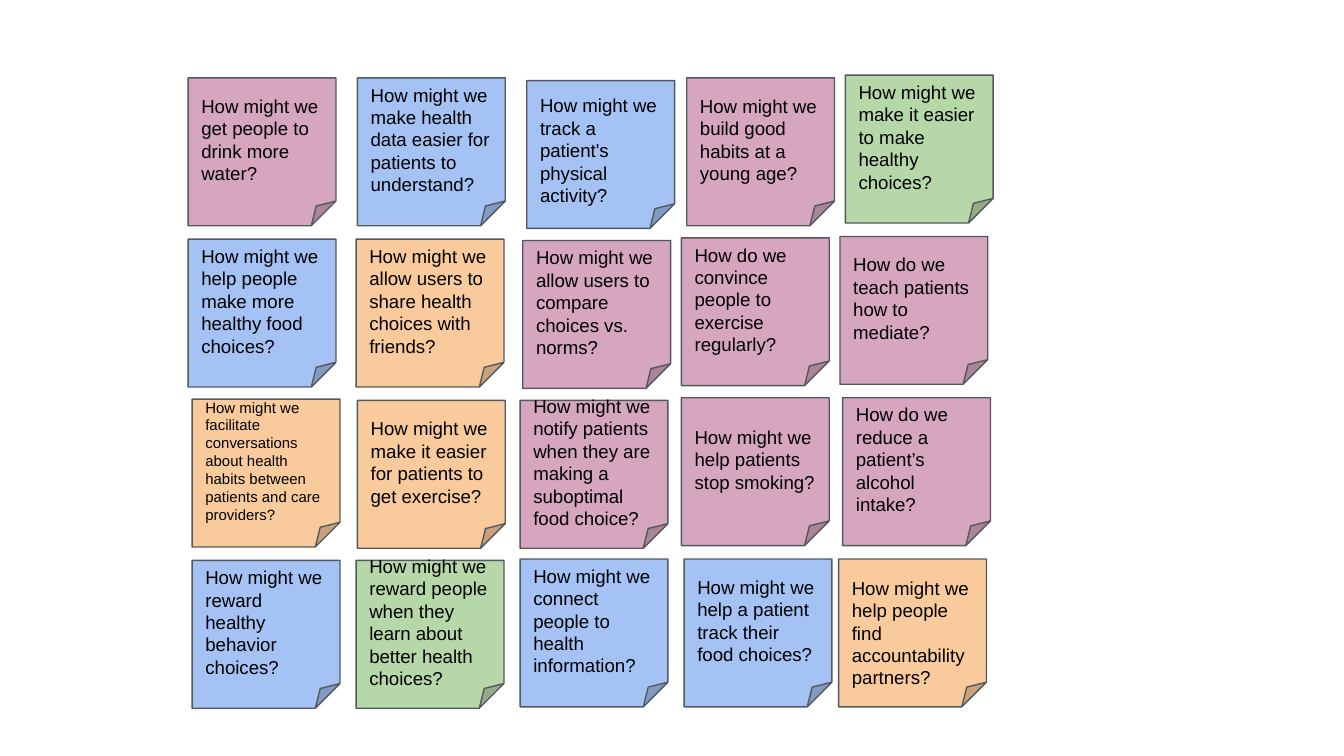
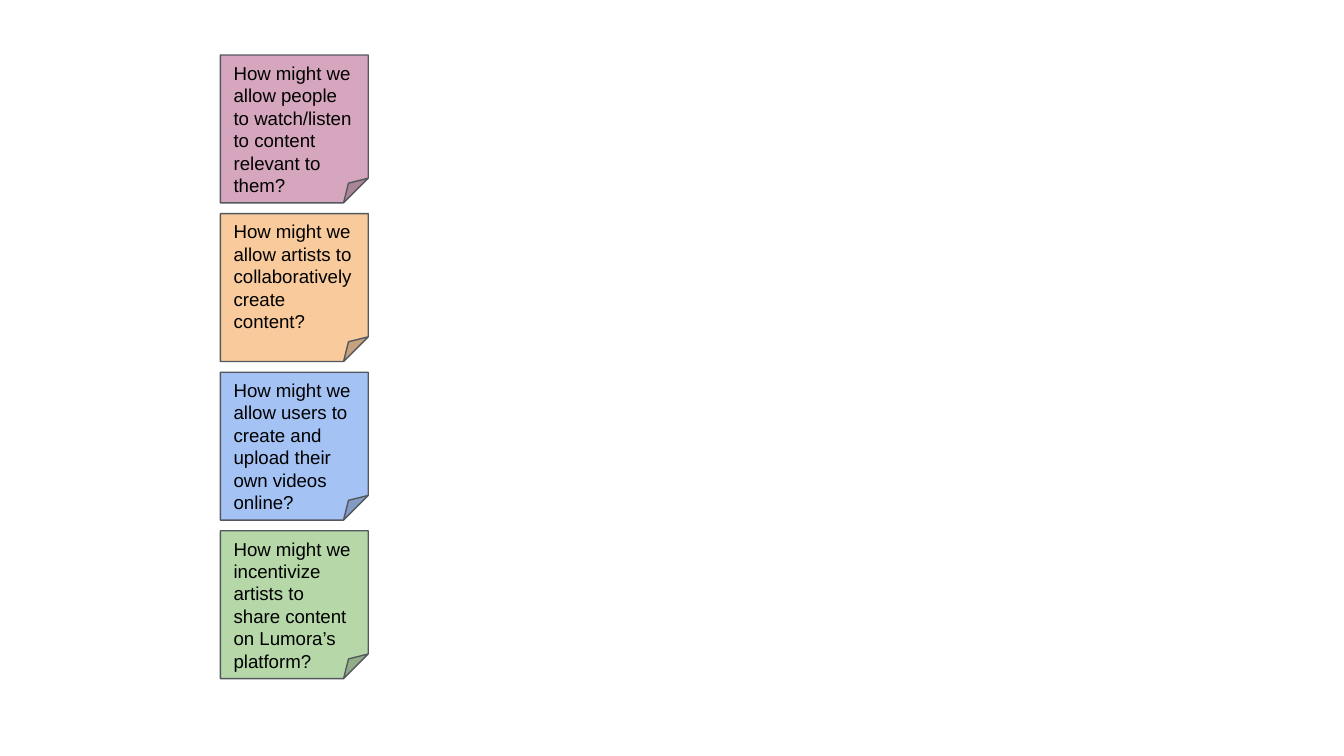
from dataclasses import dataclass
from itertools import product

from pptx import Presentation
from pptx.dml.color import RGBColor
from pptx.enum.shapes import MSO_SHAPE
from pptx.enum.text import MSO_ANCHOR, PP_ALIGN
from pptx.util import Inches, Pt


@dataclass(frozen=True)
class Theme:
    pink: str = "D5A6BD"
    blue: str = "A4C2F4"
    orange: str = "F9CB9C"
    green: str = "B6D7A8"
    outline: str = "53585F"
    ink: str = "000000"
    font: str = "Arial"
    body: float = 10
    small: float = 8
    outline_width: float = 0.75
    note_side: float = 1.1
    inset: float = 0.1


@dataclass(frozen=True)
class Note:
    question: str
    color: str
    nudge: tuple = (0, 0)
    size: float = Theme.body
    top_inset: float | None = None


@dataclass(frozen=True)
class Grid:
    left: float
    top: float
    columns: int
    rows: int
    column_step: float
    row_step: float

    def cells(self):
        for row, column in product(range(self.rows), range(self.columns)):
            yield self.left + column * self.column_step, self.top + row * self.row_step


THEME = Theme()
PINK, BLUE, ORANGE, GREEN = THEME.pink, THEME.blue, THEME.orange, THEME.green

HEALTH_GRID = Grid(1.4, 0.58, columns=5, rows=4, column_step=1.22, row_step=1.19)
HEALTH_NOTES = [
    Note("How might we get people to drink more water?", PINK),
    Note("How might we make health data easier for patients to understand?",
         BLUE, (0.04, 0)),
    Note("How might we track a patient's physical activity?",
         BLUE, (0.08, 0.02), top_inset=0.1),
    Note("How might we build good habits at a young age?", PINK, (0.05, 0)),
    Note("How might we make it easier to make healthy choices?",
         GREEN, (0.01, -0.02)),
    Note("How might we help people make more healthy food choices?",
         BLUE, (0, 0.01)),
    Note("How might we allow users to share health choices with friends?",
         ORANGE, (0.03, 0.01)),
    Note("How might we allow users to compare choices vs. norms?",
         PINK, (0.05, 0.02)),
    Note("How do we convince people to exercise regularly?", PINK, (0.01, 0)),
    Note("How do we teach patients how to mediate?", PINK, (-0.03, -0.01)),
    Note("How might we facilitate conversations about health habits "
         "between patients and care providers?",
         ORANGE, (0.03, 0.01), size=THEME.small),
    Note("How might we make it easier for patients to get exercise?",
         ORANGE, (0.04, 0.02)),
    Note("How might we notify patients when they are making a "
         "suboptimal food choice?", PINK, (0.03, 0.02)),
    Note("How might we help patients stop smoking?", PINK, (0.01, 0)),
    Note("How do we reduce a patient’s alcohol intake?", PINK, (-0.01, 0)),
    Note("How might we reward healthy behavior choices?", BLUE, (0.03, 0.02)),
    Note("How might we reward people when they learn about better "
         "health choices?", GREEN, (0.03, 0.02)),
    Note("How might we connect people to health information?",
         BLUE, (0.03, 0.01)),
    Note("How might we help a patient track their food choices?",
         BLUE, (0.03, 0.01)),
    Note("How might we help people find accountability partners?",
         ORANGE, (-0.04, 0.01), top_inset=0.13),
]

CONTENT_GRID = Grid(1.64, 0.41, columns=1, rows=4, column_step=0, row_step=1.18)
CONTENT_NOTES = [
    Note("How might we allow people to watch/listen to content relevant to them?",
         PINK, top_inset=0.05),
    Note("How might we allow artists to collaboratively create content?",
         ORANGE, top_inset=0.05),
    Note("How might we allow users to create and upload their own videos online?",
         BLUE, top_inset=0.05),
    Note("How might we incentivize artists to share content on Lumora’s platform?",
         GREEN, top_inset=0.05),
]


def add_note(slide, note, left, top):
    side = Inches(THEME.note_side)
    sticky = slide.shapes.add_shape(
        MSO_SHAPE.FOLDED_CORNER, Inches(left), Inches(top), side, side)
    sticky.shadow.inherit = False
    sticky.fill.solid()
    sticky.fill.fore_color.rgb = RGBColor.from_string(note.color)
    sticky.line.color.rgb = RGBColor.from_string(THEME.outline)
    sticky.line.width = Pt(THEME.outline_width)

    frame = sticky.text_frame
    frame.word_wrap = True
    frame.margin_left = frame.margin_right = Inches(THEME.inset)
    frame.margin_top = frame.margin_bottom = Inches(THEME.inset)
    frame.vertical_anchor = MSO_ANCHOR.MIDDLE
    if note.top_inset is not None:
        frame.vertical_anchor = MSO_ANCHOR.TOP
        frame.margin_top = Inches(note.top_inset)
        frame.margin_bottom = 0

    frame.text = note.question
    question = frame.paragraphs[0]
    question.alignment = PP_ALIGN.LEFT
    font = question.runs[0].font
    font.name = THEME.font
    font.size = Pt(note.size)
    font.color.rgb = RGBColor.from_string(THEME.ink)


def add_board(deck, grid, notes):
    slide = deck.slides.add_slide(deck.slide_layouts.get_by_name("Blank"))
    for note, (left, top) in zip(notes, grid.cells()):
        add_note(slide, note, left + note.nudge[0], top + note.nudge[1])


deck = Presentation()
deck.slide_width = Inches(10)
deck.slide_height = Inches(5.625)
add_board(deck, HEALTH_GRID, HEALTH_NOTES)
add_board(deck, CONTENT_GRID, CONTENT_NOTES)
deck.save("out.pptx")
